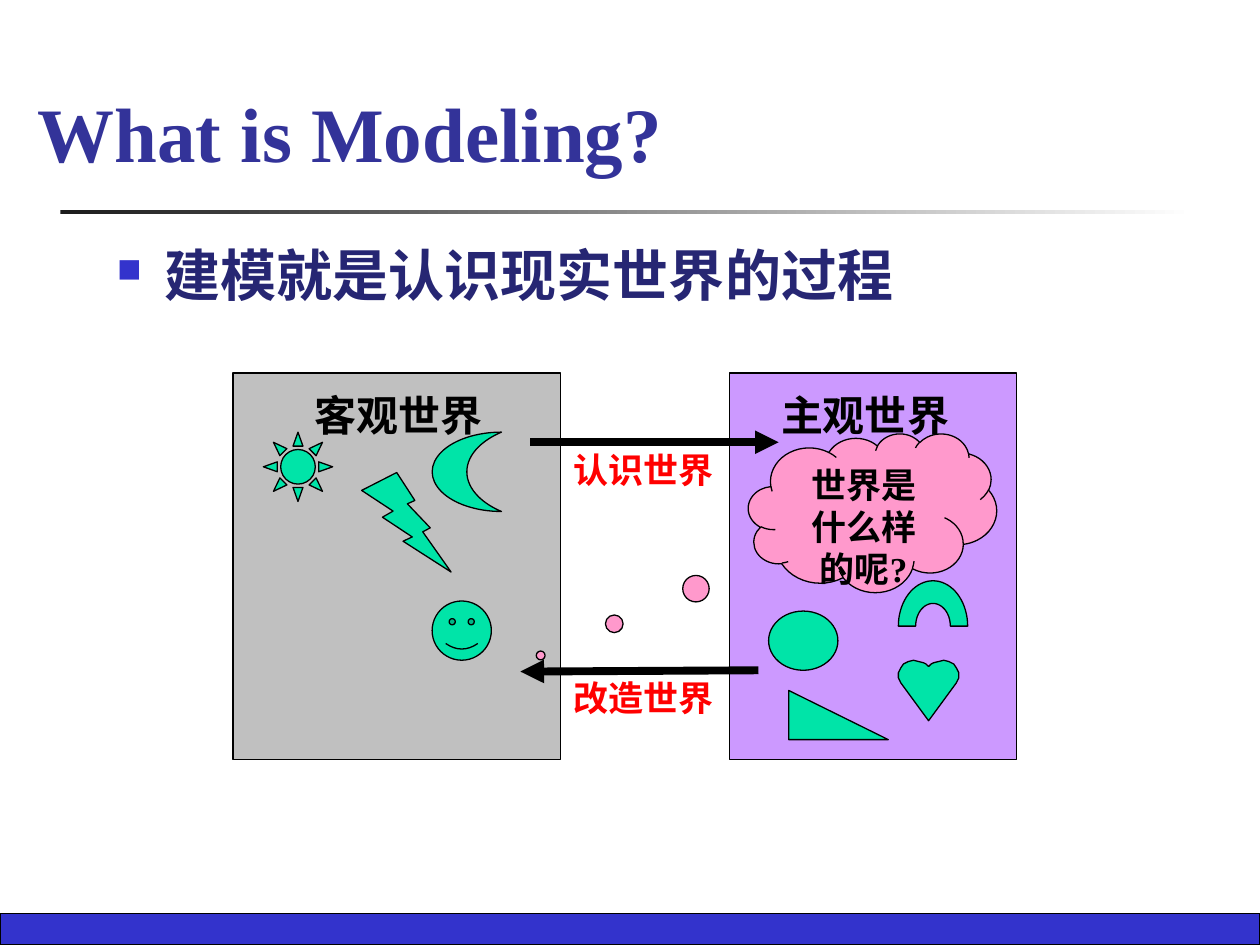
from math import cos, pi, sin

from lxml.etree import SubElement
from pptx import Presentation
from pptx.dml.color import RGBColor
from pptx.enum.shapes import MSO_CONNECTOR, MSO_SHAPE
from pptx.enum.text import MSO_ANCHOR, PP_ALIGN
from pptx.oxml.ns import qn
from pptx.util import Inches, Pt

GREEN, PINK, BLACK, RED = "00E4A8", "FF99CC", "000000", "FF0000"
SERIF = "Times New Roman"


def tint(part, code):
    """Give a fill or line fill a solid colour."""
    part.solid()
    part.fore_color.rgb = RGBColor.from_string(code)


def dress(shape, code):
    """Set the fill and thin black outline of a shape."""
    shape.shadow.inherit = False
    tint(shape.fill, code)
    tint(shape.line.fill, BLACK)
    shape.line.width = Pt(0.75)


def draw(slide, kind, box, code, adjust=()):
    """Add a preset shape in the given box."""
    shape = slide.shapes.add_shape(kind, *map(Inches, box))
    for spot, value in enumerate(adjust):
        shape.adjustments[spot] = value
    dress(shape, code)
    return shape


def trace(slide, left, top, points, code):
    """Add a closed outline with points relative to a corner."""
    dots = [(Inches(left + x), Inches(top + y)) for x, y in points]
    pen = slide.shapes.build_freeform(*dots[0])
    pen.add_line_segments(dots[1:], close=True)
    dress(pen.convert_to_shape(), code)


def write(shape, text, size, code, face=SERIF, anchor=MSO_ANCHOR.TOP):
    """Put one bold paragraph into a shape and return it."""
    frame = shape.text_frame
    for name, value in {"word_wrap": True, "vertical_anchor": anchor}.items():
        setattr(frame, name, value)
    para = frame.paragraphs[0]
    run = para.add_run()
    run.text = text
    style = {"size": Pt(size), "name": face, "bold": True}
    for name, value in style.items():
        setattr(run.font, name, value)
    tint(run.font.fill, code)
    return para


def label(slide, box, *args, **more):
    """Add a text box with one paragraph."""
    return write(slide.shapes.add_textbox(*map(Inches, box)), *args, **more)


def arrow(slide, start, end):
    """Add a thick black arrow."""
    ends = map(Inches, (*start, *end))
    line = slide.shapes.add_connector(MSO_CONNECTOR.STRAIGHT, *ends)
    tint(line.line.fill, BLACK)
    line.line.width = Pt(4.5)
    SubElement(line.line._get_or_add_ln(), qn("a:tailEnd"), type="triangle")
    SubElement(line._element.spPr, qn("a:effectLst"))


def bullet(para):
    """Give a paragraph a hanging square bullet."""
    props = para._p.get_or_add_pPr()
    for name, value in {"marL": 0.38, "indent": -0.38}.items():
        props.set(name, str(Inches(value)))
    color = SubElement(props, qn("a:buClr"))
    SubElement(color, qn("a:srgbClr"), val="3333CC")
    SubElement(props, qn("a:buSzPct"), val="60000")
    SubElement(props, qn("a:buChar"), char="■")


def heart(slide, left, top):
    """Draw a heart from one mirrored half."""
    half = [(0, 0.05), (0.02, 0.03), (0.04, 0.02), (0.08, 0.01), (0.12, 0),
            (0.16, 0.01), (0.2, 0.03), (0.22, 0.06), (0.24, 0.1),
            (0.24, 0.14), (0.22, 0.18), (0, 0.48)]
    other = [(-x, y) for x, y in half[-2:0:-1]]
    points = [(0.24 + x, y) for x, y in half + other]
    trace(slide, left, top, points, GREEN)


def arch(slide, left, top, wide, high):
    """Draw a half ring whose hole is half as large."""
    turns = [pi * step / 36 for step in range(37)]
    rings = [(1, turns), (0.5, turns[::-1])]
    points = [(wide / 2 * (1 - part * cos(turn)), high * (1 - part * sin(turn)))
              for part, ring in rings for turn in ring]
    trace(slide, left, top, points, GREEN)


def frame(slide, left, top, wide, high):
    """Place the footer band and the fading rule."""
    draw(slide, MSO_SHAPE.RECTANGLE, (left, top + high - 0.25, wide, 0.25), "3333CC")
    rule = draw(slide, MSO_SHAPE.RECTANGLE, (left + 0.48, top + 1.67, 9, 0.03), BLACK)
    rule.line.fill.background()
    rule.fill.gradient()
    rule.fill.gradient_angle = 0
    for stop, code in zip(rule.fill.gradient_stops, ("1C1C1C", "FFFFFF")):
        stop.color.rgb = RGBColor.from_string(code)


def heading(slide, left, top):
    """Place the title and the bullet line."""
    label(slide, (left, top, 9.29, 1.25), "What is Modeling?", 44, "333399",
          anchor=MSO_ANCHOR.BOTTOM)
    bullet(label(slide, (left + 0.63, top + 1.65, 8.5, 4.88),
                 "建模就是认识现实世界的过程", 32, "262673", face="Lato"))


def outer(slide, left, top, wide, high):
    """Place the objective world and its things."""
    draw(slide, MSO_SHAPE.RECTANGLE, (left, top, wide, high), "C0C0C0")
    things = [(MSO_SHAPE.SUN, 0.24, 0.47, 0.55, 0.55),
              (MSO_SHAPE.MOON, 1.58, 0.47, 0.55, 0.63),
              (MSO_SHAPE.LIGHTNING_BOLT, 1.02, 0.79, 0.71, 0.79),
              (MSO_SHAPE.SMILEY_FACE, 1.58, 1.81, 0.47, 0.47)]
    for kind, x, y, *size in things:
        draw(slide, kind, (left + x, top + y, *size), GREEN)
    label(slide, (left + 0.55, top + 0.08, 1.81, 0.5), "客观世界", 24, BLACK)


def inner(slide, left, top, wide, high):
    """Place the subjective world and its things."""
    draw(slide, MSO_SHAPE.RECTANGLE, (left, top, wide, high), "CC99FF")
    things = [(MSO_SHAPE.OVAL, 0.31, 1.89, 0.55, 0.47),
              (MSO_SHAPE.RIGHT_TRIANGLE, 0.47, 2.52, 0.79, 0.39)]
    for kind, x, y, *size in things:
        draw(slide, kind, (left + x, top + y, *size), GREEN)
    heart(slide, left + 1.34, top + 2.28)
    arch(slide, left + 1.34, top + 1.65, 0.55, 0.36)
    label(slide, (left + 0.31, top + 0.08, 1.81, 0.5), "主观世界", 24, BLACK)


def links(slide, left, top):
    """Place the arrows and their captions between the worlds."""
    arrow(slide, (left - 0.24, top), (left + 1.73, top))
    arrow(slide, (left + 1.57, top + 1.81), (left - 0.32, top + 1.82))
    for text, drop, wide in (("认识世界", 0, 1.42), ("改造世界", 1.81, 1.89)):
        label(slide, (left, top + drop, wide, 0.43), text, 20, RED)


def thought(slide, *box):
    """Place the thought cloud with its question."""
    cloud = draw(slide, MSO_SHAPE.CLOUD_CALLOUT, box, PINK, (-1.337, 0.899))
    para = write(cloud, "世界是什么样的呢?", 20, BLACK)
    para.alignment = PP_ALIGN.CENTER


def main():
    """Build and save the slide."""
    deck = Presentation()
    deck.slide_width, deck.slide_height = Inches(10), Inches(7.5)
    slide = deck.slides.add_slide(deck.slide_layouts[6])
    frame(slide, 0, 0, 10, 7.5)
    heading(slide, 0.2, 0.21)
    outer(slide, 1.85, 2.96, 2.6, 3.07)
    inner(slide, 5.79, 2.96, 2.28, 3.07)
    links(slide, 4.45, 3.51)
    thought(slide, 5.94, 3.44, 1.97, 1.26)
    deck.save("out.pptx")


if __name__ == "__main__":
    main()
